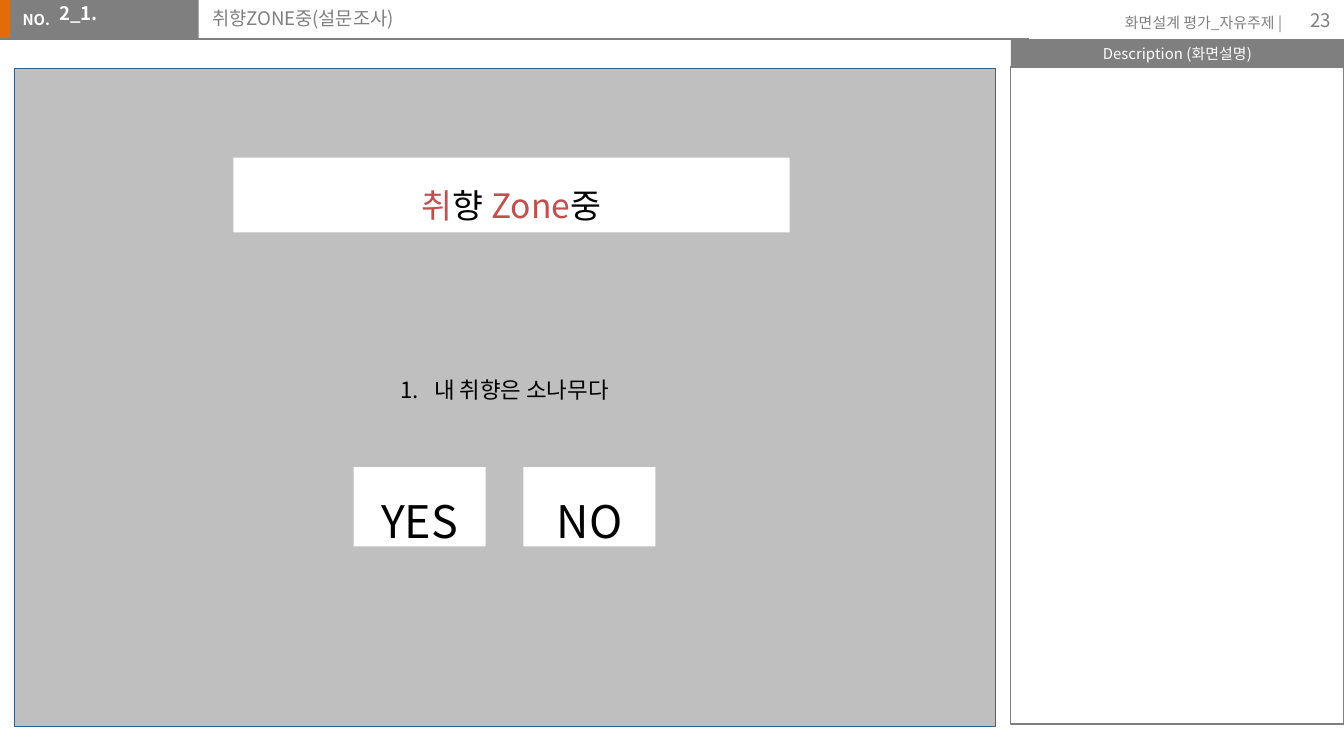
from lxml import etree
from pptx import Presentation, util as u
from pptx.dml.color import RGBColor
from pptx.enum import shapes, text
from pptx.oxml import ns

Pt = u.Pt
THEME = {
    "font": "Noto Sans CJK KR",
    "orange": "E36C09", "gray": "7F7F7F", "canvas": "BFBFBF", "navy": "3A5F8C",
    "white": "FFFFFF", "black": "000000", "red": "C0504D",
    "small": 8, "label": 10, "question": 12, "heading": 18, "button": 24,
}
LEFT, CENTER, RIGHT = text.PP_ALIGN.LEFT, text.PP_ALIGN.CENTER, text.PP_ALIGN.RIGHT
TOP, MIDDLE = text.MSO_ANCHOR.TOP, text.MSO_ANCHOR.MIDDLE


def write(box, words, size="small", color="gray", bold=False, align=LEFT,
          anchor=TOP, inset=(7.2, 3.6), wrap=True, grow=False, spacing=None):
    """Fill a box with one paragraph: a string or a list of (string, color)."""
    frame = box.text_frame
    frame.word_wrap = wrap
    frame.auto_size = (text.MSO_AUTO_SIZE.SHAPE_TO_FIT_TEXT if grow
                       else text.MSO_AUTO_SIZE.NONE)
    frame.vertical_anchor = anchor
    frame.margin_left = frame.margin_right = Pt(inset[0])
    frame.margin_top = frame.margin_bottom = Pt(inset[1])
    para = frame.paragraphs[0]
    para.alignment = align
    para.line_spacing = spacing
    for part, tint in [(words, color)] if isinstance(words, str) else words:
        span = para.add_run()
        span.text = part
        span.font.size = Pt(THEME[size])
        span.font.bold = bold
        span.font.name = THEME["font"]
        span.font.color.rgb = RGBColor.from_string(THEME[tint])
        east = etree.SubElement(span.font._element, ns.qn("a:ea"))
        east.set("typeface", THEME["font"])
    return para


def rectangle(place, fill=None, line=None, width=0.75):
    """Add a flat rectangle at (left, top, width, height) in points."""
    box = page.shapes.add_shape(shapes.MSO_SHAPE.RECTANGLE, *map(Pt, place))
    box.shadow.inherit = False
    if fill:
        box.fill.solid()
        box.fill.fore_color.rgb = RGBColor.from_string(THEME[fill])
    else:
        box.fill.background()
    if line:
        box.line.color.rgb = RGBColor.from_string(THEME[line])
        box.line.width = Pt(width)
    else:
        box.line.fill.background()
    return box


deck = Presentation()
deck.slide_width, deck.slide_height = Pt(720), Pt(405)
page = deck.slides.add_slide(deck.slide_layouts[1])
title, number = page.placeholders

# Header bar
rectangle((-0.5, 0, 8, 21), "orange")
rectangle((5.6, 0, 100.8, 21), "gray")
prefix = page.shapes.add_textbox(Pt(5), Pt(2), Pt(29.5), Pt(17.3))
write(prefix, "NO.", color="white", bold=True)
rule = page.shapes.add_connector(shapes.MSO_CONNECTOR.STRAIGHT, 0, Pt(21), Pt(551.5), Pt(21))
rule.line.color.rgb = RGBColor.from_string(THEME["gray"])
rule.line.width = Pt(0.75)
etree.SubElement(rule._element.spPr, ns.qn("a:effectLst"))

# Description panel
caption = rectangle((541.5, 21, 178.5, 15), "gray")
write(caption, "Description (화면설명)", color="white", align=CENTER, anchor=MIDDLE, inset=(6.5, 2.9))
rectangle((541.5, 36, 178.5, 352), line="gray")

# Project name and page number
project = page.shapes.add_textbox(Pt(576), Pt(3.6), Pt(118), Pt(17.3))
write(project, "화면설계 평가_자유주제 |", align=RIGHT)
page_number = page.shapes.add_textbox(Pt(676.8), 0, Pt(43.2), Pt(21.6))
write(page_number, "23", size="label", align=RIGHT, anchor=MIDDLE)

# Screen canvas
rectangle((7.4, 36.8, 525.6, 352.4), "canvas", "navy", 0.25)

# Screen number and title, raised above the header bar
for box, place in ((number, (6.5, -4.3, 79, 22.3)), (title, (106.5, -2, 442, 23))):
    box.left, box.top, box.width, box.height = map(Pt, place)
    page.shapes._spTree.append(box._element)
para = write(number, "2_1.", size="label", color="white", bold=True, anchor=MIDDLE, inset=(7.2, 7.2))
para.space_before = Pt(2)
props = para._p.get_or_add_pPr()
props.set("marL", str(Pt(36)))
props.set("indent", str(Pt(-18)))
etree.SubElement(props, ns.qn("a:buNone"))
write(title, "취향ZONE중(설문조사)", size="label", anchor=MIDDLE, inset=(7.2, 7.2))

# Survey question, numbered
question = page.shapes.add_textbox(Pt(205.2), Pt(190.8), Pt(130.3), Pt(26.6))
para = write(question, "내 취향은 소나무다", size="question", color="black", align=CENTER,
             wrap=False, grow=True, spacing=1.5)
props = para._p.get_or_add_pPr()
props.set("marL", str(Pt(18)))
props.set("indent", str(Pt(-18)))
etree.SubElement(props, ns.qn("a:buFont")).set("typeface", "+mj-lt")
etree.SubElement(props, ns.qn("a:buAutoNum")).set("type", "arabicPeriod")

# Survey heading
heading = rectangle((125, 84.5, 298, 40), "white")
write(heading, [("취", "red"), ("향 ", "black"), ("Zone", "red"), ("중", "black")],
      size="heading", align=CENTER, anchor=MIDDLE, grow=True, spacing=1.5)

# Answer buttons
for column, answer in enumerate(("YES", "NO")):
    button = rectangle((189.4 + 91 * column, 250.3, 70.8, 42.5), "white")
    write(button, answer, size="button", color="black", align=CENTER, anchor=MIDDLE,
          wrap=False, grow=True, spacing=1.5)

deck.save("out.pptx")
